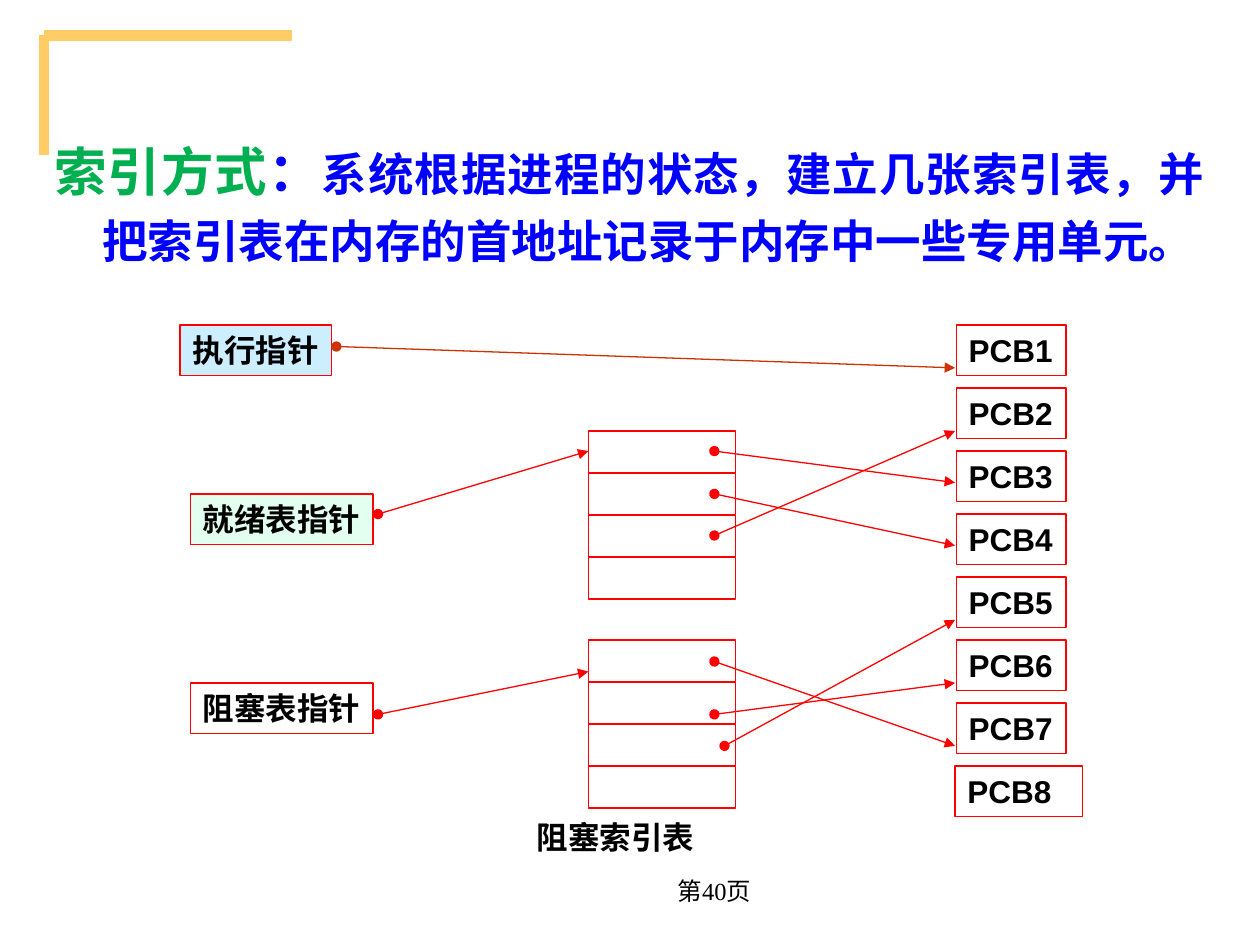
from lxml import etree
from pptx import Presentation
from pptx.dml.color import RGBColor
from pptx.enum.shapes import MSO_CONNECTOR, MSO_SHAPE
from pptx.enum.text import MSO_ANCHOR, MSO_AUTO_SIZE, PP_ALIGN
from pptx.oxml.ns import qn
from pptx.util import Inches, Pt

BLACK = RGBColor(0x00, 0x00, 0x00)
WHITE = RGBColor(0xFF, 0xFF, 0xFF)
RED = RGBColor(0xFF, 0x00, 0x00)
RUST = RGBColor(0xCC, 0x33, 0x00)
GOLD = RGBColor(0xFF, 0xCC, 0x66)
GREEN = RGBColor(0x00, 0xB0, 0x50)
BLUE = RGBColor(0x00, 0x00, 0xFF)
SKY = RGBColor(0x66, 0xCC, 0xFF)
MINT = RGBColor(0x99, 0xFF, 0xCC)

RECT = MSO_SHAPE.RECTANGLE
STRAIGHT = MSO_CONNECTOR.STRAIGHT
TOP, MIDDLE = MSO_ANCHOR.TOP, MSO_ANCHOR.MIDDLE
LEFT, RIGHT, JUSTIFY = PP_ALIGN.LEFT, PP_ALIGN.RIGHT, PP_ALIGN.JUSTIFY
GROW, FIXED = MSO_AUTO_SIZE.SHAPE_TO_FIT_TEXT, MSO_AUTO_SIZE.NONE

SANS = "Noto Sans CJK SC"
PCB_X, PCB_TOP, PCB_STEP = 7.59, 2.58, 0.5
CELL_X, CELL_W, CELL_H = 4.67, 1.17, 1 / 3
TIP_X = 7.58

POINTERS = [
    ("执行指针", 1.43, 2.58, 1.2, SKY, 32),
    ("就绪表指针", 1.51, 3.92, 1.45, MINT, 28),
    ("阻塞表指针", 1.51, 5.42, 1.45, None, None),
]
ARROWS = [
    (3, 4.08, CELL_X, 3.58),
    (5.67, 3.58, TIP_X, 3.83),
    (5.67, 3.92, TIP_X, 4.33),
    (5.67, 4.25, TIP_X, 3.42),
    (5.67, 5.25, TIP_X, 5.92),
    (5.67, 5.67, TIP_X, 5.42),
    (5.75, 5.92, TIP_X, 4.92),
    (3, 5.67, CELL_X, 5.33),
]


def set_asian(run, face=SANS):
    """Set the East Asian typeface of a run."""
    etree.SubElement(run._r.get_or_add_rPr(), qn("a:ea"), typeface=face)


def set_text(shape, text, size=18, face="Arial", bold=True, align=LEFT,
             anchor=TOP, fit=GROW, wrap=False):
    """Write one line of black text in a shape."""
    frame = shape.text_frame
    frame.word_wrap = wrap
    frame.auto_size = fit
    frame.vertical_anchor = anchor
    para = frame.paragraphs[0]
    para.alignment = align
    para.font.size = Pt(size)
    para.font.name = face
    para.font.bold = bold
    para.font.color.rgb = BLACK
    run = para.add_run()
    run.text = text
    set_asian(run)


def add_box(slide, x, y, w, h, fill=None, alpha=None):
    """Add a rectangle with a thin red line."""
    box = slide.shapes.add_shape(RECT, Inches(x), Inches(y), Inches(w), Inches(h))
    box.shadow.inherit = False
    box.line.color.rgb = RED
    box.line.width = Pt(0.75)
    if fill is None:
        box.fill.background()
    else:
        box.fill.solid()
        box.fill.fore_color.rgb = fill
    if alpha:
        tint = box._element.spPr.find(qn("a:solidFill")).find(qn("a:srgbClr"))
        etree.SubElement(tint, qn("a:alpha"), val=str(alpha * 1000))
    return box


def add_pcb(slide, num, x, w):
    """Add a numbered PCB box with room for its label on one line."""
    box = add_box(slide, x, PCB_TOP + (num - 1) * PCB_STEP, w, 0.4)
    box.text_frame.margin_right = Inches(0.03)
    set_text(box, f"PCB{num}", wrap=True)


def add_label(slide, x, y, w, h, text, **style):
    """Add a text box with one line of text."""
    label = slide.shapes.add_textbox(Inches(x), Inches(y), Inches(w), Inches(h))
    set_text(label, text, **style)


def add_line(slide, x1, y1, x2, y2, color, width):
    """Add a straight line without a shadow."""
    line = slide.shapes.add_connector(
        STRAIGHT, Inches(x1), Inches(y1), Inches(x2), Inches(y2))
    line.line.color.rgb = color
    line.line.width = Pt(width)
    etree.SubElement(line._element.spPr, qn("a:effectLst"))
    return line


def add_arrow(slide, x1, y1, x2, y2, color=RED):
    """Add a line from a dot to an arrowhead."""
    arrow = add_line(slide, x1, y1, x2, y2, color, 0.75)
    stroke = arrow.line._get_or_add_ln()
    etree.SubElement(stroke, qn("a:headEnd"), type="oval")
    etree.SubElement(stroke, qn("a:tailEnd"), type="triangle")


def add_table(slide, top):
    """Add an index table of four stacked cells."""
    for row in range(4):
        add_box(slide, CELL_X, top + row * CELL_H, CELL_W, CELL_H, WHITE)


def fill_title(title):
    """Place and write the heading."""
    title.left, title.top = Inches(0.33), Inches(0.95)
    title.width, title.height = Inches(9.33), Inches(1.22)
    frame = title.text_frame
    frame.word_wrap = True
    frame.auto_size = FIXED
    frame.vertical_anchor = TOP
    para = frame.paragraphs[0]
    para.alignment = JUSTIFY
    para.line_spacing = 1.2
    props = para._p.get_or_add_pPr()
    props.set("marL", str(Inches(0.38)))
    props.set("indent", str(-Inches(0.38)))
    para.font.name = SANS
    para.font.bold = True
    for text, size, color in (
        ("索引方式", 30, GREEN),
        ("：", 30, BLUE),
        ("系统根据进程的状态，建立几张索引表，并把索引表在内存的首地址"
         "记录于内存中一些专用单元。", 26, BLUE),
    ):
        run = para.add_run()
        run.text = text
        run.font.size = Pt(size)
        run.font.color.rgb = color
        set_asian(run)


def main():
    """Build the slide and save it."""
    deck = Presentation()
    deck.slide_width, deck.slide_height = Inches(10), Inches(7.5)
    slide = deck.slides.add_slide(deck.slide_layouts[5])
    add_line(slide, 0.35, 0.28, 2.32, 0.28, GOLD, 6)
    add_line(slide, 0.35, 0.28, 0.35, 1.23, GOLD, 6)
    add_label(slide, 3.98, 6.82, 2.08, 0.5, "第40页", size=14,
              face="Times New Roman", bold=False, align=RIGHT,
              anchor=MIDDLE, fit=FIXED, wrap=True)
    fill_title(slide.shapes.title)
    for num in range(1, 8):
        add_pcb(slide, num, PCB_X, 0.87)
    add_pcb(slide, 8, TIP_X, 1.01)
    for top in (3.42, 5.08):
        add_table(slide, top)
    for text, x, y, w, fill, alpha in POINTERS:
        set_text(add_box(slide, x, y, w, 0.4, fill, alpha), text)
    add_arrow(slide, 2.67, 2.75, TIP_X, 2.92, RUST)
    for ends in ARROWS:
        add_arrow(slide, *ends)
    add_label(slide, 4.16, 6.44, 1.45, 0.4, "阻塞索引表")
    deck.save("out.pptx")


if __name__ == "__main__":
    main()
